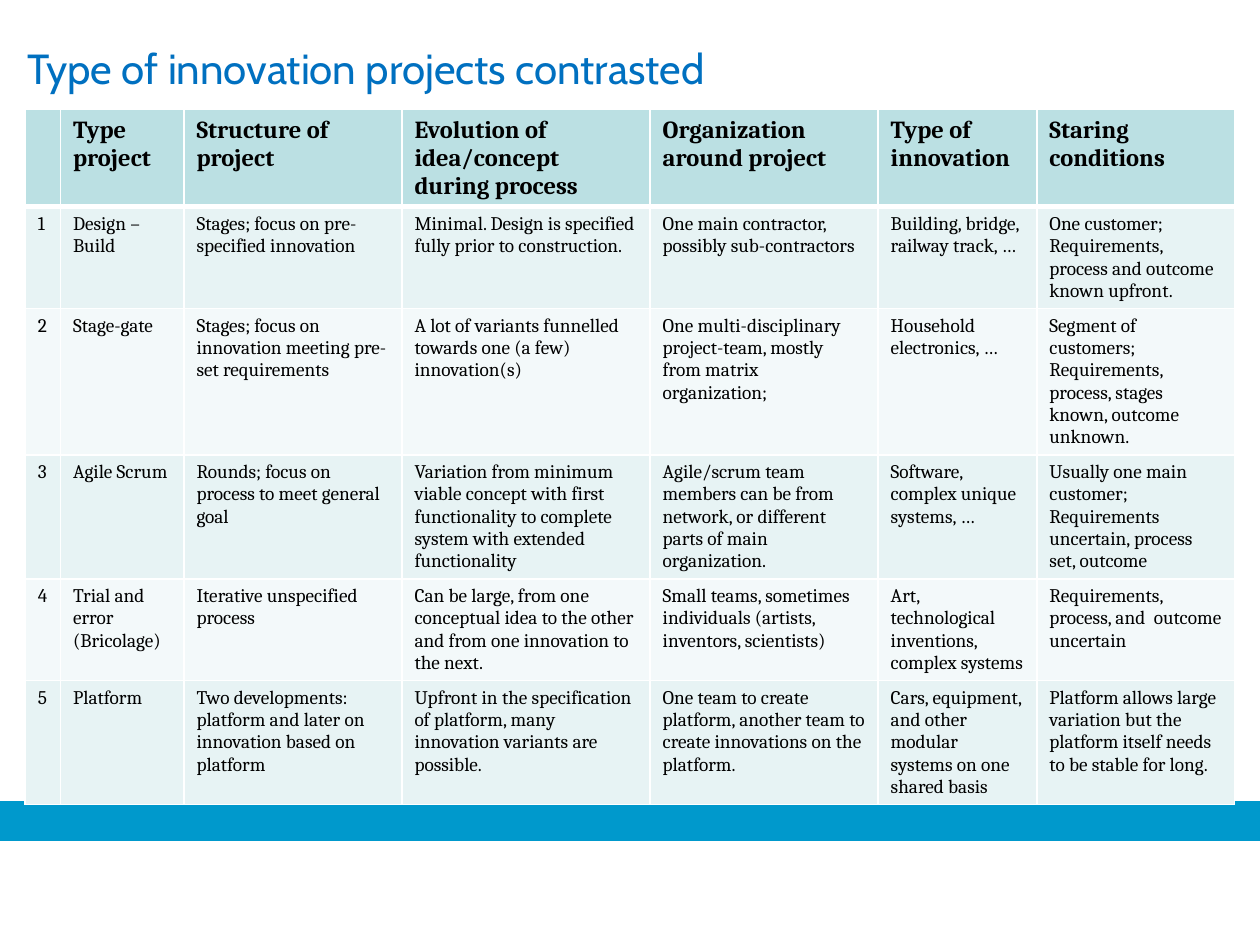
from dataclasses import dataclass

from lxml.etree import SubElement
from pptx import Presentation
from pptx.dml.color import RGBColor as Color
from pptx.enum.shapes import MSO_SHAPE as Shape
from pptx.oxml.ns import qn
from pptx.util import Inches, Pt


@dataclass(frozen=True)
class Theme:
    title_font: str = "Cabin"
    table_font: str = "Cambria"
    title_size: int = 24
    header_size: int = 14
    body_size: int = 11
    title_color: str = "0070C0"
    text_color: str = "000000"
    bar_color: str = "0099CC"
    border_color: str = "FFFFFF"
    header_fill: str = "BBE0E3"
    band_fills: tuple = ("E7F3F4", "F3F9FA")


COLUMN_WIDTHS = (0.28, 0.98, 1.73, 1.97, 1.81, 1.26, 1.57)
ROW_HEIGHT = 0.41

HEADERS = ("", "Type project", "Structure of project",
           "Evolution of idea/concept during process",
           "Organization around project", "Type of innovation",
           "Staring conditions")

# One tuple per project type; a line break starts a new paragraph
PROJECTS = (
    ("Design – Build",
     "Stages; focus on pre-specified innovation",
     "Minimal. Design is specified fully prior to construction.",
     "One main contractor, possibly sub-contractors",
     "Building, bridge, railway track, …",
     "One customer;\nRequirements, process and outcome known upfront."),
    ("Stage-gate",
     "Stages; focus on innovation meeting pre-set requirements",
     "A lot of variants funnelled towards one (a few) innovation(s)",
     "One multi-disciplinary project-team, mostly from matrix organization;",
     "Household electronics, …",
     "Segment of customers; Requirements, process, stages known, "
     "outcome unknown."),
    ("Agile Scrum",
     "Rounds; focus on process to meet general goal",
     "Variation from minimum viable concept with first functionality "
     "to complete system with extended functionality",
     "Agile/scrum team members can be from network, or different parts "
     "of main organization.",
     "Software, complex unique systems, …",
     "Usually one main customer; Requirements uncertain, process set, "
     "outcome"),
    ("Trial and error (Bricolage)",
     "Iterative unspecified process",
     "Can be large, from one conceptual idea to the other and from one "
     "innovation to the next.",
     "Small teams, sometimes individuals (artists, inventors, scientists)",
     "Art, technological inventions, complex systems",
     "Requirements, process, and  outcome uncertain"),
    ("Platform",
     "Two developments: platform and later on innovation based on platform",
     "Upfront in the specification of platform, many innovation variants "
     "are possible.",
     "One team to create platform, another team to create innovations on "
     "the platform.",
     "Cars, equipment, and other modular systems on one shared basis",
     "Platform allows large variation but the platform itself needs to be "
     "stable for long."),
)


class SlideBuilder:
    def __init__(self, slide, theme):
        self.slide = slide
        self.theme = theme

    def add_run(self, paragraph, text, font, size, color, bold=False):
        run = paragraph.add_run()
        run.text = text
        run.font.name = font
        run.font.size = Pt(size)
        run.font.bold = bold
        run.font.color.rgb = Color.from_string(color)

    def add_bar(self, left, top, width, height):
        bar = self.slide.shapes.add_shape(
            Shape.RECTANGLE, *map(Inches, (left, top, width, height)))
        bar.shadow.inherit = False
        color = Color.from_string(self.theme.bar_color)
        bar.fill.solid()
        bar.fill.fore_color.rgb = color
        bar.line.color.rgb = color
        bar.line.width = Pt(0.75)

    def add_title(self, text, left, top, width, height):
        box = self.slide.shapes.add_textbox(
            *map(Inches, (left, top, width, height)))
        box.text_frame.word_wrap = True
        self.add_run(box.text_frame.paragraphs[0], text,
                     self.theme.title_font, self.theme.title_size,
                     self.theme.title_color)

    def set_borders(self, cell, widths):
        properties = cell._tc.get_or_add_tcPr()
        for side, width in widths.items():
            line = SubElement(properties, qn(f"a:ln{side}"), w=str(Pt(width)))
            fill = SubElement(line, qn("a:solidFill"))
            SubElement(fill, qn("a:srgbClr"), val=self.theme.border_color)

    def fill_cell(self, cell, text, row_index):
        theme = self.theme
        is_header = row_index == 0
        # Borders come before the fill in the cell properties
        self.set_borders(cell, {"L": 1, "R": 1,
                                "T": 3 if row_index == 1 else 1,
                                "B": 3 if is_header else 1})
        cell.fill.solid()
        cell.fill.fore_color.rgb = Color.from_string(
            theme.header_fill if is_header
            else theme.band_fills[(row_index - 1) % 2])
        size = theme.header_size if is_header else theme.body_size
        frame = cell.text_frame
        for index, line in enumerate(text.split("\n") if text else ()):
            paragraph = frame.add_paragraph() if index else frame.paragraphs[0]
            self.add_run(paragraph, line, theme.table_font, size,
                         theme.text_color, is_header)

    def add_table(self, rows, left, top):
        table = self.slide.shapes.add_table(
            len(rows), len(COLUMN_WIDTHS), Inches(left), Inches(top),
            Inches(sum(COLUMN_WIDTHS)), Inches(ROW_HEIGHT * len(rows))).table
        for column, width in zip(table.columns, COLUMN_WIDTHS):
            column.width = Inches(width)
        for row_index, texts in enumerate(rows):
            table.rows[row_index].height = Inches(ROW_HEIGHT)
            for column_index, text in enumerate(texts):
                self.fill_cell(table.cell(row_index, column_index), text,
                               row_index)


def main():
    presentation = Presentation()
    presentation.slide_width = Inches(10)
    presentation.slide_height = Inches(7.5)
    slide = presentation.slides.add_slide(presentation.slide_layouts[6])
    builder = SlideBuilder(slide, Theme())

    # Footer bar, behind the table
    builder.add_bar(0, 6.36, 10, 0.31)

    # Comparison table with numbered rows
    numbered = [(str(number), *project)
                for number, project in enumerate(PROJECTS, start=1)]
    builder.add_table([HEADERS, *numbered], 0.2, 0.87)

    # Title
    builder.add_title("Type of innovation projects contrasted",
                      0.12, 0.29, 5.91, 0.5)

    presentation.save("out.pptx")


if __name__ == "__main__":
    main()
